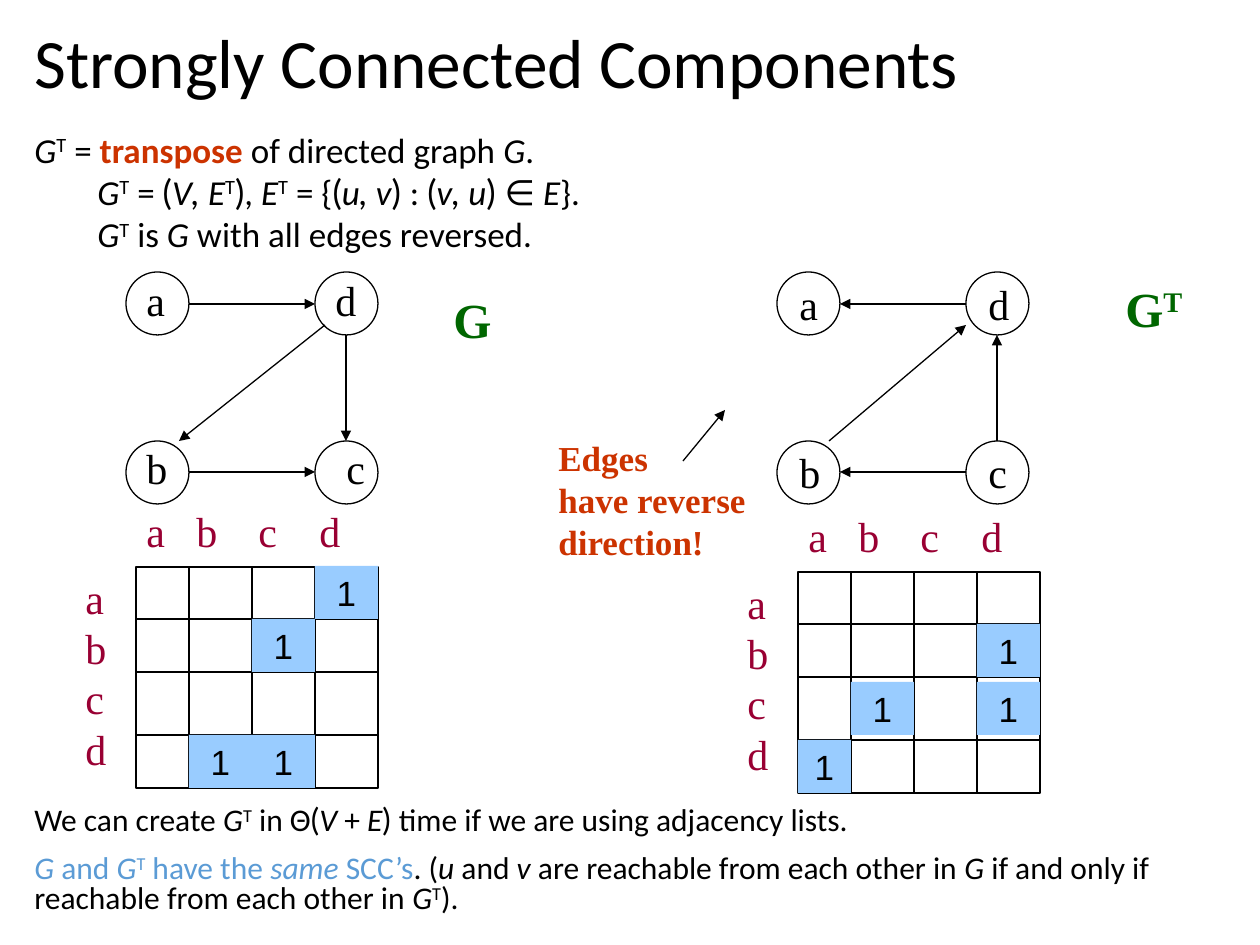
"""Build a slide on strongly connected components and the transpose graph."""
import dataclasses
import itertools
import typing

import lxml.etree
import pptx
import pptx.dml.color
import pptx.enum.shapes
import pptx.enum.text
import pptx.oxml.ns
import pptx.util

Color = pptx.dml.color.RGBColor
Kind = pptx.enum.shapes.MSO_SHAPE
Anchor = pptx.enum.text.MSO_ANCHOR
BLACK = Color(0x00, 0x00, 0x00)
RED = Color(0xCC, 0x33, 0x00)
GREEN = Color(0x00, 0x66, 0x00)
WINE = Color(0x99, 0x00, 0x33)
BLUE = Color(0x5B, 0x9B, 0xD5)
SKY = Color(0x99, 0xCC, 0xFF)
SERIF = "Times New Roman"
SANS = "Calibri"
HINTS = {"r": RED, "u": BLUE}
DPI = 126
THIN = pptx.util.Pt(0.75)
Point = tuple[int, int]


class Run(typing.NamedTuple):
    """Text with flags: i italic, b bold, s raised, l Lato, r red, u blue."""
    text: str
    flags: str = ""


class Para(typing.NamedTuple):
    """A paragraph of runs with its indent, space before and own size."""
    runs: list[Run]
    indent: int = 0
    before: int = 0
    size: int = 0


@dataclasses.dataclass
class Node:
    """A graph node and the place of its letter inside the circle."""
    name: str
    spot: Point
    shift: Point


@dataclasses.dataclass
class Graph:
    """A directed graph drawn from its top left corner."""
    spot: Point
    nodes: list[Node]
    edges: list[tuple[Point, Point]]


@dataclasses.dataclass
class Matrix:
    """An adjacency matrix and the row and column of each one."""
    spot: Point
    ones: list[Point]


def px(size: int) -> int:
    """Turn pixels into EMU."""
    return round(size * 914400 / DPI)


def write(frame, paras, *, size: float, font: str = SERIF, color=BLACK, bold: bool = False,
          align=pptx.enum.text.PP_ALIGN.LEFT, space=None, tabs: tuple[int, ...] = ()) -> None:
    """Fill a text frame with paragraphs in one format."""
    for index, item in enumerate(paras):
        para = item if isinstance(item, Para) else Para([Run(item)])
        line = frame.paragraphs[0] if index == 0 else frame.add_paragraph()
        line.alignment = align
        line.line_spacing = space or pptx.util.Pt(size * 1.2)
        line.space_before = pptx.util.Pt(para.before)
        props = line._p.get_or_add_pPr()
        if para.indent:
            props.set("marL", str(px(para.indent)))
        if tabs:
            stops = lxml.etree.SubElement(props, pptx.oxml.ns.qn("a:tabLst"))
            for stop in tabs:
                lxml.etree.SubElement(stops, pptx.oxml.ns.qn("a:tab"), pos=str(px(stop)), algn="l")
        for text, flags in para.runs:
            run = line.add_run()
            run.text = text
            run.font.size = pptx.util.Pt(para.size or size)
            run.font.name = "Lato" if "l" in flags else font
            run.font.bold = bold or "b" in flags
            run.font.italic = "i" in flags
            run.font.color.rgb = next((HINTS[f] for f in flags if f in HINTS), color)
            if "s" in flags:
                run.font._element.set("baseline", "30000")


def label(slide, left: int, top: int, wide: int, high: int, paras,
          anchor=Anchor.TOP, **form) -> None:
    """Add a text box."""
    frame = slide.shapes.add_textbox(px(left), px(top), px(wide), px(high)).text_frame
    frame.word_wrap = True
    frame.vertical_anchor = anchor
    write(frame, paras, **form)


def shape(slide, kind, left: int, top: int, wide: int, high: int, fill=None):
    """Add a filled shape, or an outline if there is no fill."""
    item = slide.shapes.add_shape(kind, px(left), px(top), px(wide), px(high))
    item.shadow.inherit = False
    if fill:
        item.fill.solid()
        item.fill.fore_color.rgb = fill
        item.line.fill.background()
    else:
        item.fill.background()
        item.line.color.rgb = BLACK
        item.line.width = THIN
    return item


def link(slide, start: Point, end: Point, head: bool = True) -> None:
    """Add a line, with an arrowhead at its end if wanted."""
    line = slide.shapes.add_connector(
        pptx.enum.shapes.MSO_CONNECTOR.STRAIGHT, *map(px, start + end))
    line.line.width = THIN
    line.line.color.rgb = BLACK
    if head:
        lxml.etree.SubElement(
            line.line._get_or_add_ln(), pptx.oxml.ns.qn("a:tailEnd"), type="triangle")
    lxml.etree.SubElement(line._element.spPr, pptx.oxml.ns.qn("a:effectLst"))


def graph(slide, plan: Graph) -> None:
    """Draw the nodes, letters and edges of a graph."""
    left, top = plan.spot
    for node in plan.nodes:
        x, y = left + node.spot[0], top + node.spot[1]
        shape(slide, Kind.OVAL, x, y, 63, 63)
        label(slide, x + node.shift[0], y + node.shift[1], 46, 63, [node.name], size=24)
    for start, end in plan.edges:
        link(slide, (left + start[0], top + start[1]), (left + end[0], top + end[1]))


def matrix(slide, plan: Matrix) -> None:
    """Draw an adjacency matrix with its letters."""
    left, top = plan.spot
    cols, rows = (53, 63, 63, 63), (52, 53, 63, 53)
    xs = list(itertools.accumulate(cols, initial=left))
    ys = list(itertools.accumulate(rows, initial=top))
    shape(slide, Kind.RECTANGLE, left, top, sum(cols), sum(rows))
    for x in xs[1:-1]:
        link(slide, (x, top), (x, ys[-1]), head=False)
    for y in ys[1:-1]:
        link(slide, (left, y), (xs[-1], y), head=False)
    label(slide, left - 2, top - 68, 221, 63, ["a\tb\tc\td"], size=24, color=WINE,
          tabs=(50, 112, 173))
    label(slide, left - 63, top - 1, 47, 214, list("abcd"), size=24, color=WINE)
    for row, col in plan.ones:
        y = ys[row] + (rows[row] - 53) // 2
        box = shape(slide, Kind.RECTANGLE, xs[col], y, cols[col], 53, SKY)
        box.text_frame.word_wrap = False
        box.text_frame.vertical_anchor = Anchor.MIDDLE
        write(box.text_frame, ["1"], size=20, font="Arial", space=1.0,
              align=pptx.enum.text.PP_ALIGN.CENTER)


SPOTS = {"a": (0, 0), "b": (0, 169), "c": (189, 169), "d": (189, 0)}
LEFT = {"a": (8, -4), "b": (8, -5), "c": (19, -5), "d": (8, -4)}
RIGHT = {"a": (10, 0), "b": (10, -1), "c": (10, -1), "d": (10, 0)}
SIDES = [((63, 32), (189, 32)), ((63, 200), (189, 200)), ((220, 63), (220, 169))]
GRAPHS = [
    Graph((126, 272), [Node(n, s, LEFT[n]) for n, s in SPOTS.items()],
          SIDES + [((199, 53), (53, 169))]),
    Graph((777, 272), [Node(n, s, RIGHT[n]) for n, s in SPOTS.items()],
          [(end, start) for start, end in SIDES] + [((52, 169), (189, 53))]),
]
GRIDS = [
    Matrix((136, 567), [(0, 3), (1, 2), (3, 1), (3, 2)]),
    Matrix((798, 572), [(1, 3), (2, 1), (2, 3), (3, 0)]),
]
G, T = Run("G", "i"), Run("T", "s")
COMMA, OPEN, CLOSE = Run(", ", "li"), Run("(", "l"), Run(") ", "l")
U, V, E = Run("u", "i"), Run("v", "i"), Run("E", "i")
BODY = [
    Para([G, T, Run(" = "), Run("transpose ", "br"), Run("of directed graph "), G, Run(".")]),
    Para([G, T, Run(" = "), OPEN, Run("V", "i"), COMMA, E, T, Run(")", "l"), Run(", "), E, T,
          Run(" = {"), OPEN, U, COMMA, V, CLOSE, Run(": "), OPEN, V, COMMA, U, CLOSE,
          Run("∈ "), E, Run("}.")], 63, 5),
    Para([G, T, Run(" is "), G, Run(" with all edges reversed.")], 63, 5),
    Para([Run("We can create "), G, T, Run(" in Θ"), OPEN, Run("V ", "i"), Run("+ "), E, CLOSE,
          Run("time if we are using adjacency lists.")], 0, 316, 18),
    Para([Run("G ", "iu"), Run("and ", "u"), Run("G", "iu"), Run("T", "su"),
          Run(" have the ", "u"), Run("same ", "iu"), Run("SCC’s", "u"), Run(". ("),
          Run("u ", "i"), Run("and "), Run("v ", "i"), Run("are reachable from each other in "),
          Run("G ", "i"), Run("if and only if reachable from each other in "), G, T,
          Run(").")], 0, 10, 18),
]


def main() -> None:
    """Build and save the slide."""
    deck = pptx.Presentation()
    deck.slide_width, deck.slide_height = px(1260), px(945)
    slide = deck.slides.add_slide(deck.slide_layouts[6])
    label(slide, 22, 20, 1212, 93, ["Strongly Connected Components"], size=39.6, font=SANS,
          space=0.9, anchor=Anchor.MIDDLE)
    label(slide, 22, 130, 1212, 795, BODY, size=20, font=SANS, space=0.8)
    for plan in GRAPHS:
        graph(slide, plan)
    for plan in GRIDS:
        matrix(slide, plan)
    label(slide, 441, 283, 63, 72, ["G"], size=28, color=GREEN, bold=True)
    label(slide, 1113, 272, 86, 72, [Para([Run("G"), T])], size=28, color=GREEN, bold=True)
    label(slide, 546, 430, 214, 139, ["Edges", "have reverse", "direction!"], size=20,
          color=RED, bold=True)
    link(slide, (683, 461), (725, 410))
    deck.save("out.pptx")


if __name__ == "__main__":
    main()
